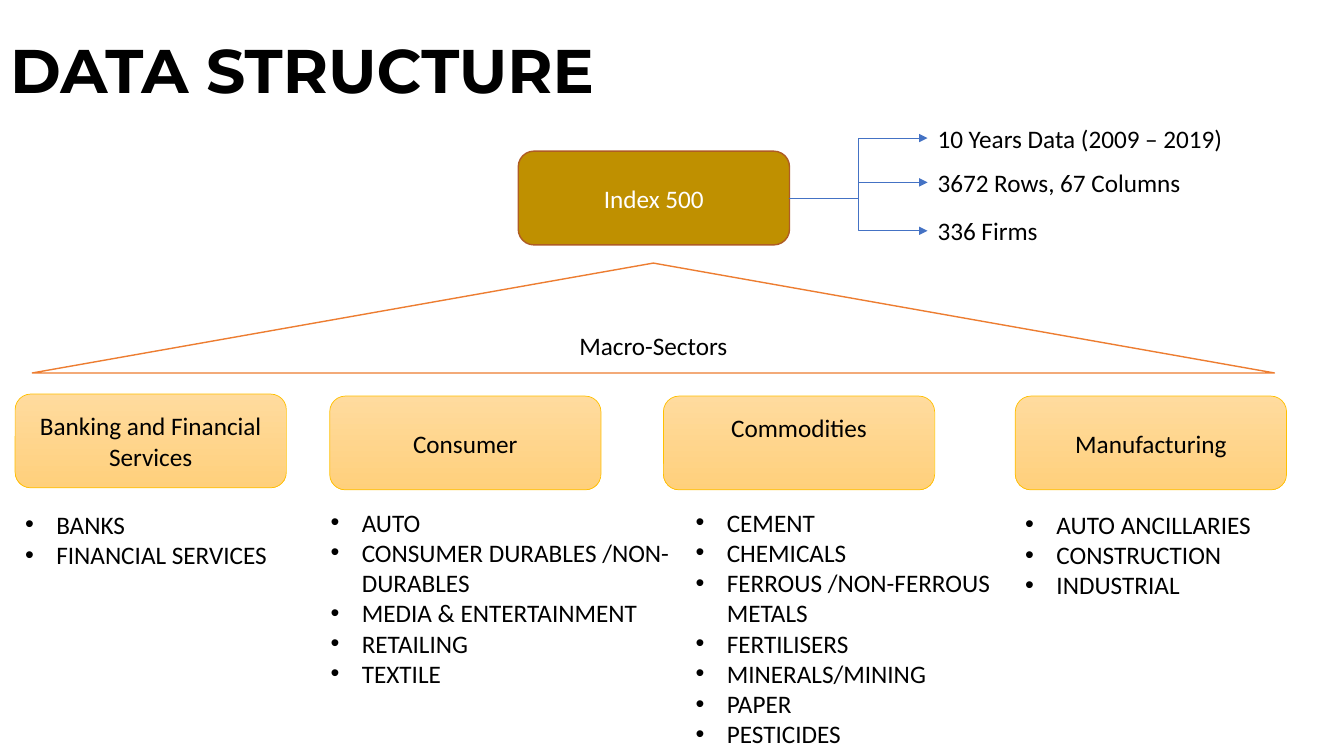
from lxml import etree
from pptx import Presentation
from pptx.dml.color import RGBColor
from pptx.enum import shapes, text
from pptx.oxml.ns import qn
from pptx.util import Inches, Pt

COLORS = {
    "black": "000000", "white": "FFFFFF",
    "index_fill": "BF9000", "index_line": "AF5C24",
    "sector_top": "FFDB9E", "sector_bottom": "FFD07C", "sector_line": "FFC000",
    "roof_line": "ED7D31", "arrow": "4472C4",
}
BODY_FONT = "Calibri"
BOX_WIDTH, BOX_HEIGHT = 2.69, 0.93
INDEX_LEFT, INDEX_TOP = 5.14, 1.5
FACT_LEFT, FACT_HEIGHT = 9.2, 0.4
LINE_HEIGHT = 0.3

FACTS = [("10 Years Data (2009 – 2019)", 1.17), ("3672 Rows, 67 Columns", 1.61),
         ("336 Firms", 2.09)]

# name, box left, box top, list left, list top, list width, industries
SECTORS = [
    ("Banking and Financial Services", 0.15, 3.91, 0.15, 5, 2.69,
     ["BANKS", "FINANCIAL SERVICES"]),
    ("Consumer", 3.27, 3.93, 3.18, 4.98, 4.18,
     ["AUTO", "CONSUMER DURABLES /NON- DURABLES", "MEDIA & ENTERTAINMENT",
      "RETAILING", "TEXTILE"]),
    ("Commodities", 6.58, 3.93, 6.8, 4.98, 3.18,
     ["CEMENT", "CHEMICALS", "FERROUS /NON-FERROUS METALS", "FERTILISERS",
      "MINERALS/MINING", "PAPER", "PESTICIDES"]),
    ("Manufacturing", 10.07, 3.93, 10.07, 5, 2.69,
     ["AUTO ANCILLARIES", "CONSTRUCTION", "INDUSTRIAL"]),
]


def rgb(name):
    return RGBColor.from_string(COLORS[name])


def format_font(font, color="black", name=BODY_FONT, size=18, bold=False):
    font.name, font.size, font.bold = name, Pt(size), bold
    font.color.rgb = rgb(color)


def set_title(slide, wording):
    title = slide.shapes.title
    title.left, title.top = Inches(0), Inches(0)
    title.width, title.height = Inches(11.5), Inches(1.45)
    frame = title.text_frame
    frame.text = wording
    frame.auto_size = text.MSO_AUTO_SIZE.NONE
    frame.vertical_anchor = text.MSO_ANCHOR.MIDDLE
    paragraph = frame.paragraphs[0]
    paragraph.alignment = text.PP_ALIGN.LEFT
    paragraph.line_spacing = 0.9
    format_font(paragraph.runs[0].font, name="Montserrat", size=44, bold=True)


def add_box(slide, kind, wording, left, top, width, height, line, line_width,
            fill=None, color="black"):
    """Add a centred, labelled shape; without a fill it gets the sector gradient."""
    shape = slide.shapes.add_shape(kind, Inches(left), Inches(top),
                                   Inches(width), Inches(height))
    shape.shadow.inherit = False
    if fill:
        shape.fill.solid()
        shape.fill.fore_color.rgb = rgb(fill)
    else:
        shape.fill.gradient()
        shape.fill.gradient_angle = 270
        for stop, name in zip(shape.fill.gradient_stops, ("sector_top", "sector_bottom")):
            stop.color.rgb = rgb(name)
    shape.line.color.rgb = rgb(line)
    shape.line.width = Pt(line_width)
    frame = shape.text_frame
    frame.text = wording
    frame.vertical_anchor = text.MSO_ANCHOR.MIDDLE
    frame.paragraphs[0].alignment = text.PP_ALIGN.CENTER
    format_font(frame.paragraphs[0].runs[0].font, color)
    return shape


def add_bullet(paragraph):
    properties = paragraph._p.get_or_add_pPr()
    indent = Inches(0.31)
    properties.set("marL", str(indent))
    properties.set("indent", str(-indent))
    etree.SubElement(properties, qn("a:buFont"), typeface="Arial")
    etree.SubElement(properties, qn("a:buChar"), char="•")


def add_text(slide, lines, left, top, width, height, bulleted=False):
    box = slide.shapes.add_textbox(Inches(left), Inches(top), Inches(width), Inches(height))
    frame = box.text_frame
    frame.text = "\n".join(lines)
    frame.word_wrap = True
    frame.auto_size = text.MSO_AUTO_SIZE.SHAPE_TO_FIT_TEXT
    for paragraph in frame.paragraphs:
        if bulleted:
            add_bullet(paragraph)
        format_font(paragraph.runs[0].font)


def add_elbow_arrow(slide, start, end):
    connector = slide.shapes.add_connector(
        shapes.MSO_CONNECTOR.ELBOW, *(Inches(value) for value in (*start, *end)))
    connector.line.color.rgb = rgb("arrow")
    connector.line.width = Pt(0.5)
    etree.SubElement(connector.line._get_or_add_ln(), qn("a:tailEnd"), type="triangle")
    etree.SubElement(connector._element.spPr, qn("a:effectLst"))


def main():
    presentation = Presentation()
    presentation.slide_width, presentation.slide_height = Inches(13.33), Inches(7.5)
    slide = presentation.slides.add_slide(presentation.slide_layouts.get_by_name("Title Only"))
    rounded = shapes.MSO_SHAPE.ROUNDED_RECTANGLE

    set_title(slide, "DATA STRUCTURE")
    add_box(slide, rounded, "Index 500", INDEX_LEFT, INDEX_TOP, BOX_WIDTH, BOX_HEIGHT,
            "index_line", 1, "index_fill", "white")
    add_box(slide, shapes.MSO_SHAPE.ISOSCELES_TRIANGLE, "Macro-Sectors",
            0.32, 2.61, 12.32, 1.09, "roof_line", 1, "white")

    for name, left, top, list_left, list_top, list_width, industries in SECTORS:
        box = add_box(slide, rounded, name, left, top, BOX_WIDTH, BOX_HEIGHT,
                      "sector_line", 0.5)
        if name == "Commodities":  # this label sits half a line higher
            box.text_frame.margin_bottom = Inches(0.05 + LINE_HEIGHT)
        add_text(slide, industries, list_left, list_top, list_width,
                 0.1 + LINE_HEIGHT * len(industries), bulleted=True)

    index_right = (INDEX_LEFT + BOX_WIDTH, INDEX_TOP + BOX_HEIGHT / 2)
    for fact, top in FACTS:
        add_text(slide, [fact], FACT_LEFT, top, 3.09, FACT_HEIGHT)
        add_elbow_arrow(slide, index_right, (FACT_LEFT, top + FACT_HEIGHT / 2))

    presentation.save("out.pptx")


if __name__ == "__main__":
    main()
